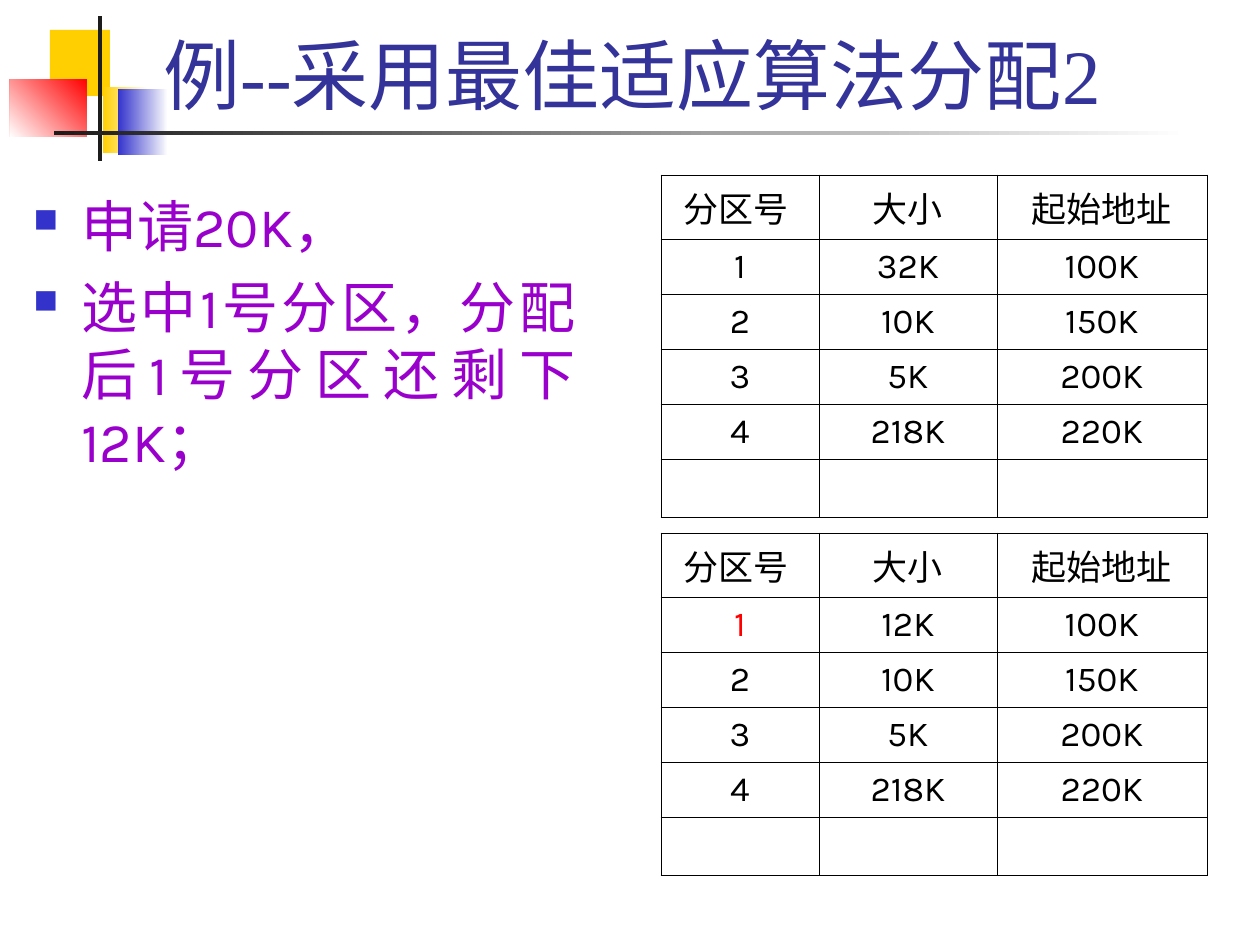
from lxml import etree
from pptx import Presentation
from pptx.dml.color import RGBColor
from pptx.enum.shapes import MSO_SHAPE
from pptx.enum.text import MSO_ANCHOR, PP_ALIGN
from pptx.oxml.ns import qn
from pptx.util import Pt

RECTANGLE = MSO_SHAPE.RECTANGLE
BOTTOM, MIDDLE, TOP = MSO_ANCHOR.BOTTOM, MSO_ANCHOR.MIDDLE, MSO_ANCHOR.TOP
CENTER, JUSTIFY = PP_ALIGN.CENTER, PP_ALIGN.JUSTIFY

EMU_PER_PX = 914400 / 126
SERIF, SANS = "Times New Roman", "Karla"
COLORS = {
    "white": "FFFFFF", "black": "000000", "red": "FF0000", "yellow": "FFCF01",
    "blue": "3333CC", "dark": "1C1C1C", "title": "333399", "purple": "9900CC",
}

DECORATIONS = [
    ((50, 30, 60, 66), ["yellow"], 0),
    ((103, 87, 45, 66), ["white", "yellow"], 180),
    ((118, 89, 50, 66), ["white", "blue"], 180),
    ((10, 79, 77, 58), ["red", "white"], 225),
    ((98, 16, 4, 145), ["dark"], 0),
    ((54, 131, 1134, 4), ["white", "dark"], 180),
]
BULLETS = [
    [("申请", SERIF), ("20K", SANS), ("，", SERIF)],
    [("选中", SERIF), ("1", SANS), ("号分区，分配后", SERIF), ("1", SANS),
     ("号分区还剩下", SERIF), ("12K", SANS), ("；", SERIF)],
]
HEADER = ["分区号 ", "大小", "起始地址"]
OTHER_PARTITIONS = [
    ["2", "10K", "150K"],
    ["3", "5K", "200K"],
    ["4", "218K", "220K"],
    ["", "", ""],
]
COLUMN_WIDTHS = [158, 178, 210]
ROW_HEIGHTS = [64, 55, 55, 55, 55, 59]


def px(length):
    return round(length * EMU_PER_PX)


def rgb(name):
    return RGBColor.from_string(COLORS[name])


def style_font(font, size, color, name=None):
    font.size = Pt(size)
    font.color.rgb = rgb(color)
    if name:
        font.name = name


def add_decoration(slide, box, colors, angle):
    shape = slide.shapes.add_shape(RECTANGLE, *map(px, box))
    shape.shadow.inherit = False
    shape.line.fill.background()
    if len(colors) == 1:
        shape.fill.solid()
        shape.fill.fore_color.rgb = rgb(colors[0])
    else:
        shape.fill.gradient()
        shape.fill.gradient_angle = angle
        for stop, color in zip(shape.fill.gradient_stops, colors):
            stop.color.rgb = rgb(color)


def add_text_frame(slide, box, anchor):
    frame = slide.shapes.add_textbox(*map(px, box)).text_frame
    frame.word_wrap = True
    frame.vertical_anchor = anchor
    return frame


def add_title(slide):
    paragraph = add_text_frame(slide, (151, 21, 1074, 105), BOTTOM).paragraphs[0]
    paragraph.text = "例--采用最佳适应算法分配2"
    style_font(paragraph.font, 44, "title", SERIF)


def set_bullet(paragraph):
    properties = paragraph._p.get_or_add_pPr()
    properties.set("marL", str(px(48)))
    properties.set("indent", str(px(-48)))
    bullet_color = etree.SubElement(properties, qn("a:buClr"))
    etree.SubElement(bullet_color, qn("a:srgbClr"), val=COLORS["blue"])
    etree.SubElement(properties, qn("a:buSzPct"), val="60000")
    etree.SubElement(properties, qn("a:buChar"), char="■")


def add_bullets(slide):
    frame = add_text_frame(slide, (21, 185, 567, 567), TOP)
    for index, parts in enumerate(BULLETS):
        paragraph = frame.add_paragraph() if index else frame.paragraphs[0]
        paragraph.alignment = JUSTIFY
        if index:
            paragraph.space_before = Pt(8)
        set_bullet(paragraph)
        style_font(paragraph.font, 32, "purple")
        for text, font_name in parts:
            run = paragraph.add_run()
            run.text = text
            run.font.name = font_name


def set_borders(cell):
    properties = cell._tc.get_or_add_tcPr()
    for index, side in enumerate(("a:lnL", "a:lnR", "a:lnT", "a:lnB")):
        line = etree.Element(qn(side), w=str(Pt(0.45)))
        fill = etree.SubElement(line, qn("a:solidFill"))
        etree.SubElement(fill, qn("a:srgbClr"), val=COLORS["black"])
        properties.insert(index, line)


def fill_cell(cell, text, color):
    cell.fill.background()
    set_borders(cell)
    cell.vertical_anchor = MIDDLE
    paragraph = cell.text_frame.paragraphs[0]
    paragraph.text = text
    paragraph.alignment = CENTER
    style_font(paragraph.font, 20, color, SERIF if text == HEADER[0] else SANS)


def add_partition_table(slide, top, first_partition, number_color):
    rows = [HEADER, first_partition, *OTHER_PARTITIONS]
    table = slide.shapes.add_table(
        len(rows), len(HEADER), px(661), px(top),
        px(sum(COLUMN_WIDTHS)), px(sum(ROW_HEIGHTS))).table
    table.first_row = False
    table.horz_banding = False
    for column, width in zip(table.columns, COLUMN_WIDTHS):
        column.width = px(width)
    for row, height in zip(table.rows, ROW_HEIGHTS):
        row.height = px(height)
    for row_index, texts in enumerate(rows):
        for column_index, text in enumerate(texts):
            is_number = (row_index, column_index) == (1, 0)
            fill_cell(table.cell(row_index, column_index), text,
                      number_color if is_number else "black")


def main():
    presentation = Presentation()
    presentation.slide_width = px(1260)
    presentation.slide_height = px(945)
    slide = presentation.slides.add_slide(presentation.slide_layouts[6])
    for box, colors, angle in DECORATIONS:
        add_decoration(slide, box, colors, angle)
    add_title(slide)
    add_bullets(slide)
    add_partition_table(slide, 175, ["1", "32K", "100K"], "black")
    add_partition_table(slide, 533, ["1", "12K", "100K"], "red")
    presentation.save("out.pptx")


if __name__ == "__main__":
    main()
